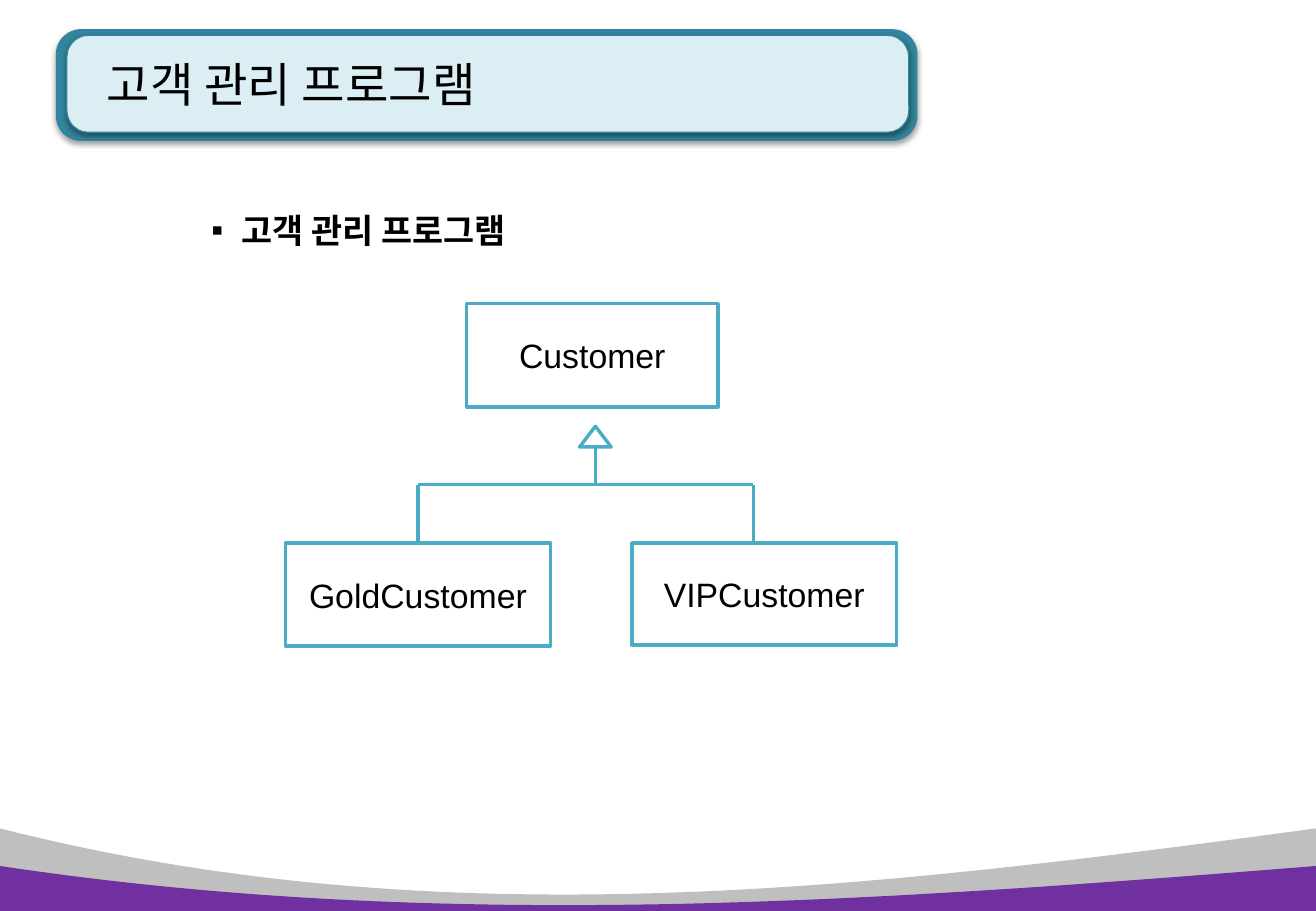
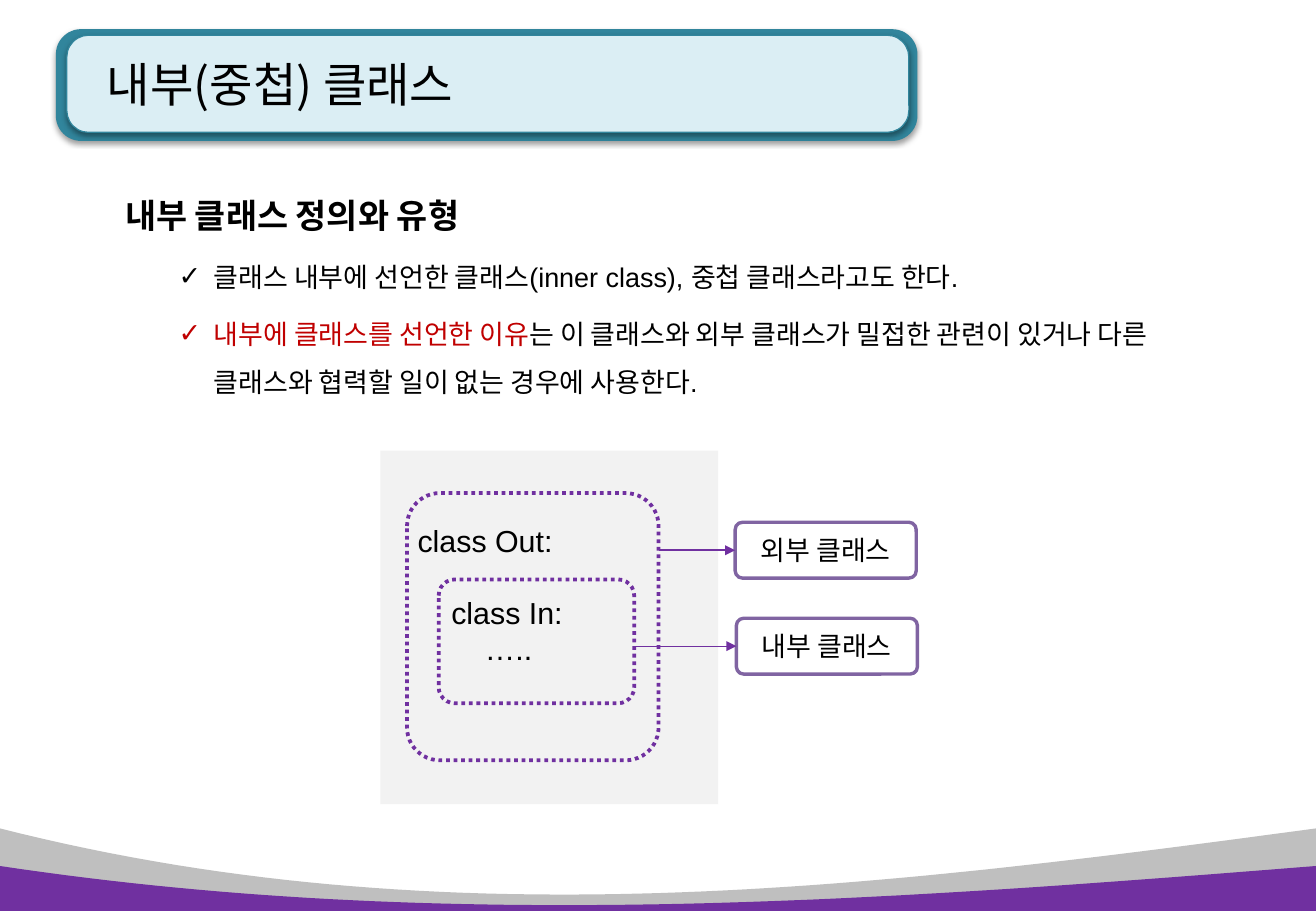
from lxml import etree
from pptx import Presentation, util as u
from pptx.dml.color import RGBColor
from pptx.enum import dml, shapes, text
from pptx.oxml.ns import qn

PX = 9144
W, H = 1083, 750
KOREAN, LATIN = "Noto Sans CJK KR", "Arial"
BLACK, WHITE, RED = "000000", "FFFFFF", "C00000"
TEAL, PALE_TEAL, AQUA = "31859C", "DBEEF4", "4BACC6"
PURPLE, MAUVE, GREY, PALE_GREY = "7030A0", "8064A2", "BFBFBF", "F2F2F2"
RECT = shapes.MSO_SHAPE.RECTANGLE
ROUND = shapes.MSO_SHAPE.ROUNDED_RECTANGLE
TRIANGLE = shapes.MSO_SHAPE.ISOSCELES_TRIANGLE
LEFT, CENTER = text.PP_ALIGN.LEFT, text.PP_ALIGN.CENTER


def px(*values):
    return [u.Emu(round(v * PX)) for v in values]


def color(value):
    return RGBColor.from_string(value)


def child(parent, tag, **attrs):
    return etree.SubElement(parent, qn(tag), {k: str(v) for k, v in attrs.items()})


def font(r, size, latin=KOREAN, fill=BLACK, bold=False):
    r.font.size, r.font.bold, r.font.name = u.Pt(size), bold, latin
    r.font.color.rgb = color(fill)
    child(r._r.get_or_add_rPr(), "a:ea", typeface=KOREAN)


def paint(sp, fill=None, line=None, width=2):
    sp.shadow.inherit = False
    if fill:
        sp.fill.solid()
        sp.fill.fore_color.rgb = color(fill)
    else:
        sp.fill.background()
    if line:
        sp.line.color.rgb = color(line)
        sp.line.width = u.Pt(width)
    else:
        sp.line.fill.background()
    return sp


def add_box(s, kind, box, fill=None, line=None, width=2, adj=None):
    sp = paint(s.shapes.add_shape(kind, *px(*box)), fill, line, width)
    if adj:
        sp.adjustments[0] = adj
    return sp


def add_label(sp, label, size, latin=KOREAN):
    tf = sp.text_frame
    tf.text = label
    tf.vertical_anchor = text.MSO_ANCHOR.MIDDLE
    tf.paragraphs[0].alignment = CENTER
    font(tf.paragraphs[0].runs[0], size, latin)
    return sp


def add_line(s, start, end, line, width, arrow=False):
    cn = s.shapes.add_connector(shapes.MSO_CONNECTOR.STRAIGHT, *px(*start, *end))
    cn.line.color.rgb = color(line)
    cn.line.width = u.Pt(width)
    if arrow:
        child(cn.line._get_or_add_ln(), "a:tailEnd", type="triangle")
    child(cn._element.spPr, "a:effectLst")
    return cn


def add_wave(s, curve, fill, steps=60):
    """Fill the area from a cubic curve, given by four points, to the slide's foot."""
    pts = []
    for i in range(steps + 1):
        t = i / steps
        weights = ((1 - t) ** 3, 3 * t * (1 - t) ** 2, 3 * t * t * (1 - t), t ** 3)
        pts.append([sum(k * pt[axis] for k, pt in zip(weights, curve)) for axis in (0, 1)])
    pts += [(W, H), (0, H)]
    fb = s.shapes.build_freeform(*px(*pts[0]))
    fb.add_line_segments([px(*pt) for pt in pts[1:]], close=True)
    paint(fb.convert_to_shape(), fill)


def add_plate(s, box, fill, line=None):
    sp = add_box(s, ROUND, box, fill, line, 0.75, 0.225)
    shadow = child(sp._element.spPr.find(qn("a:effectLst")), "a:outerShdw", blurRad=40000,
                   dist=20000, dir=5400000, rotWithShape=0)
    child(child(shadow, "a:srgbClr", val=BLACK), "a:alpha", val=38000)


def build_layout(prs, layout):
    """Draw the title plates and waves, then move them behind the layout's placeholders."""
    s = prs.slides.add_slide(layout)
    count = len(s.shapes)
    add_wave(s, ((0, 682), (365, 775), (720, 731), (W, 682)), GREY)
    add_plate(s, (46, 24, 709, 92), TEAL)
    add_plate(s, (55, 29, 693, 80), PALE_TEAL, TEAL)
    add_wave(s, ((0, 713), (365, 768), (720, 742), (W, 713)), PURPLE)
    for i, sp in enumerate(list(s.shapes)[count:]):
        layout.shapes.element.insert(2 + i, sp._element)
    title = layout.placeholders[0]
    title.left, title.top, title.width, title.height = px(69, 22, 678, 94)
    return s


def set_title(s, title):
    tf = s.shapes.title.text_frame
    tf.text = title
    tf.auto_size = text.MSO_AUTO_SIZE.NONE
    tf.vertical_anchor = text.MSO_ANCHOR.MIDDLE
    tf.margin_left, = px(19)
    tf.paragraphs[0].alignment = LEFT
    font(tf.paragraphs[0].runs[0], 28)


def set_body(s, box, items):
    """Fill the body; an item is (level, left, hanging, bullet, runs), a run (text, font)."""
    body = s.placeholders[1]
    body.left, body.top, body.width, body.height = px(*box)
    tf = body.text_frame
    tf.auto_size = text.MSO_AUTO_SIZE.NONE
    for i, (level, left, hanging, bullet, runs) in enumerate(items):
        p = tf.add_paragraph() if i else tf.paragraphs[0]
        p.level, p.alignment, p.line_spacing = level, LEFT, 1.5
        p.space_before = u.Pt(5 if i else 0)
        pPr = p._p.get_or_add_pPr()
        pPr.set("marL", str(left * PX))
        pPr.set("indent", str(-hanging * PX))
        if bullet:
            child(pPr, "a:buFont", typeface=LATIN)
            child(pPr, "a:buChar", char=bullet)
        else:
            child(pPr, "a:buNone")
        for words, style in runs:
            r = p.add_run()
            r.text = words
            font(r, **style)


def draw_inheritance(s, x, y):
    """Class tree whose top left corner is at x, y."""
    def add_class(name, box):
        return add_label(add_box(s, RECT, box, WHITE, AQUA), name, 20, LATIN)

    add_class("Customer", (x + 149, y, 207, 85))
    add_box(s, TRIANGLE, (x + 242, y + 101, 26, 17), WHITE, AQUA)
    gold = add_class("GoldCustomer", (x, y + 197, 218, 85))
    add_class("VIPCustomer", (x + 285, y + 197, 218, 84))
    bar = y + 149
    left, right, stem = x + 109, x + 385, x + 255
    add_line(s, (stem, y + 118), (stem, bar), AQUA, 2)
    add_line(s, (left, bar), (right, bar), AQUA, 2)
    add_line(s, (left, bar), (left, y + 197), AQUA, 2).end_connect(gold, 0)
    add_line(s, (right, bar), (right, y + 197), AQUA, 2)


def draw_nesting(s, x, y):
    """Code panel with two dotted frames, each with an arrow to its label."""
    code = add_box(s, RECT, (x, y, 278, 291), PALE_GREY)
    tf = code.text_frame
    tf.vertical_anchor = text.MSO_ANCHOR.TOP
    tf.margin_top, = px(59)
    for i, row in enumerate(("   class Out:", "       class In:", "           …..")):
        p = tf.add_paragraph() if i else tf.paragraphs[0]
        p.text, p.alignment = row, LEFT
        p.space_before = u.Pt(21 if i == 1 else 0)
        font(p.runs[0], 18, LATIN)

    for frame, label, label_x, label_y, width in (
            ((22, 35, 207, 220), "외부 클래스", 292, 59, 1),
            ((48, 106, 161, 102), "내부 클래스", 293, 138, 0.75)):
        fx, fy, fw, fh = frame
        dotted = add_box(s, ROUND, (x + fx, y + fy, fw, fh), None, PURPLE, 2.25, 0.131)
        dotted.line.dash_style = dml.MSO_LINE.ROUND_DOT
        lx, ly = x + label_x, y + label_y
        tag = add_box(s, ROUND, (lx, ly, 149, 46), WHITE, MAUVE, 2, 0.131)
        add_label(tag, label, 16)
        mid = ly + 23
        add_line(s, (x + fx + fw, mid), (lx, mid), PURPLE, width, True).end_connect(tag, 1)


def main():
    prs = Presentation()
    prs.slide_width, prs.slide_height = px(W, H)
    layout = prs.slide_layouts[1]
    heading = dict(size=20, bold=True)
    plain = dict(size=16, latin=LATIN)

    s = build_layout(prs, layout)
    set_title(s, "고객 관리 프로그램")
    set_body(s, (164, 151, 439, 66), [(0, 25, 25, "▪", [("고객 관리 프로그램", heading)])])
    draw_inheritance(s, 235, 250)

    s = prs.slides.add_slide(layout)
    set_title(s, "내부(중첩) 클래스")
    set_body(s, (87, 139, 942, 214), [
        (0, 6, 0, None, [("내부 클래스 정의와 유형", heading)]),
        (1, 79, 29, "✓", [
            ("클래스 내부에 선언한 클래스(inner class), 중첩 클래스라고도 한다.", plain)]),
        (1, 79, 29, "✓", [
            ("내부에 클래스를 선언한 이유", dict(plain, fill=RED)),
            ("는 이 클래스와 외부 클래스가 밀접한 관련이 있거나 다른 클래스와 협력할 일이 "
             "없는 경우에 사용한다.", plain)]),
    ])
    draw_nesting(s, 313, 371)
    prs.save("out.pptx")


if __name__ == "__main__":
    main()
